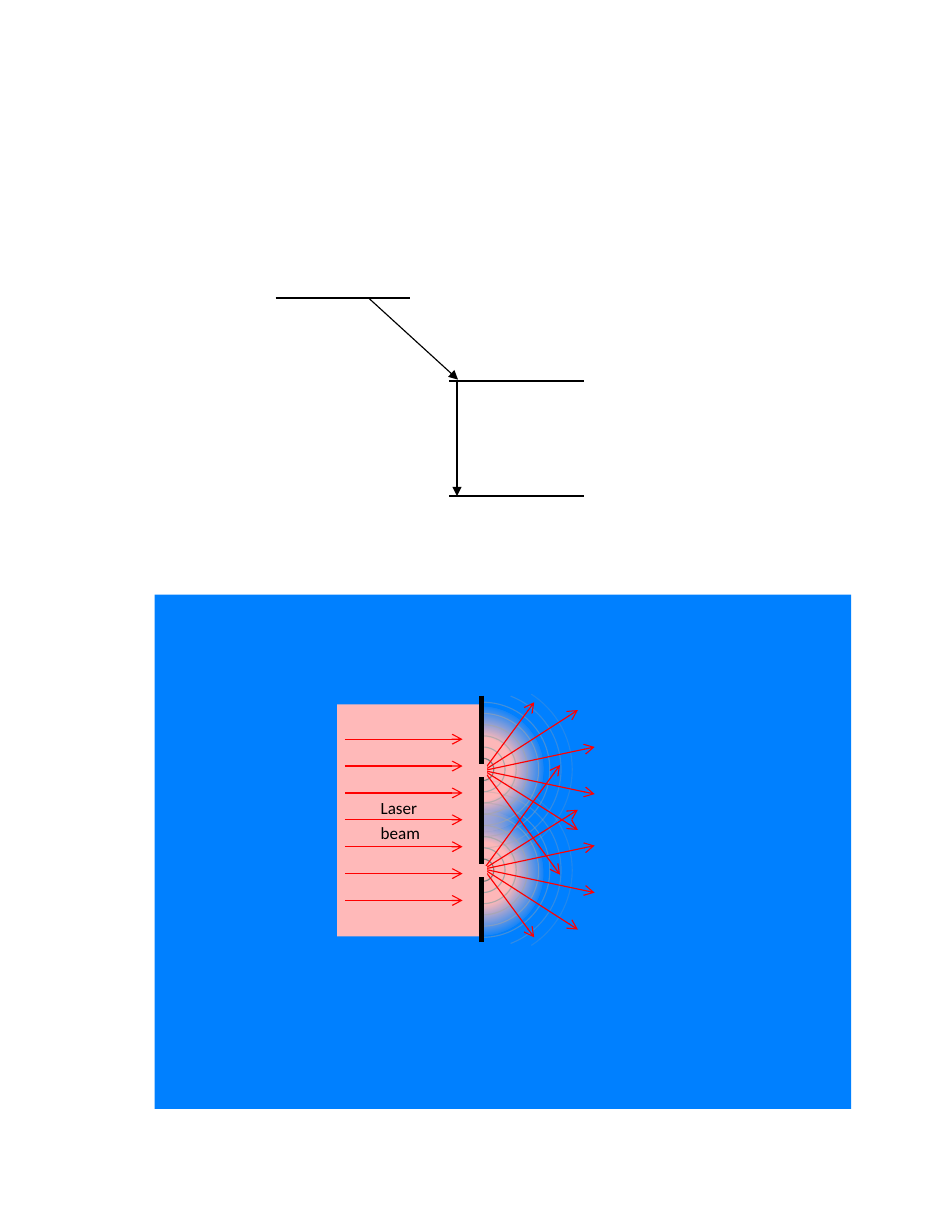
from dataclasses import dataclass

from lxml import etree
from pptx import Presentation
from pptx import util as u
from pptx.dml.color import RGBColor
from pptx.enum import shapes, text
from pptx.oxml import parse_xml
from pptx.oxml.ns import qn

PX = 9144  # EMU in one px, 100 px to the inch
KIND = shapes.MSO_SHAPE


@dataclass(frozen=True)
class Theme:
    panel: str = "0080FF"
    beam: str = "FFB9B9"
    ray: str = "FF0000"
    ink: str = "000000"
    first_wave: str = "808080"
    wave: str = "A6A6A6"
    font: str = "Calibri"
    label_size: float = 11
    thin: float = 0.75
    level: float = 1.5
    barrier: float = 3


@dataclass(frozen=True)
class Slit:
    center: int
    facing: int  # 1 for the upper slit, -1 for its mirror image
    glow_top: int
    opacities: tuple


THEME = Theme()
SLITS = (
    Slit(79, 1, 23, (100, 85, 70, 60, 50, 40, 30, 20)),
    Slit(169, -1, 116, (100, 100, 85, 60, 50, 40, 30, 20)),
)
SLIT_X = 130
RAYS = ((45, -61), (68, 93), (84, 53), (84, -54), (99, -21), (99, 21))


class Region:
    """Draws on a shape collection, with lengths measured from a corner."""

    def __init__(self, canvas, left, top):
        self.canvas, self.left, self.top = canvas, left, top

    def place(self, x, y):
        return (self.left + x) * PX, (self.top + y) * PX

    def shape(self, kind, x, y, width, height, color=None):
        shape = self.canvas.add_shape(kind, *self.place(x, y), width * PX, height * PX)
        shape.shadow.inherit = False
        shape.line.fill.background()
        if color:
            shape.fill.solid()
            shape.fill.fore_color.rgb = RGBColor.from_string(color)
        else:
            shape.fill.background()
        return shape

    def line(self, start, end, color, weight, head=None):
        line = self.canvas.add_connector(
            shapes.MSO_CONNECTOR.STRAIGHT, *self.place(*start), *self.place(*end))
        stroke(line, color, weight)
        if head:
            etree.SubElement(line.line._get_or_add_ln(), qn("a:tailEnd"), type=head)
        etree.SubElement(line._element.spPr, qn("a:effectLst"))

    def label(self, words, x, y, width, height):
        box = self.canvas.add_textbox(*self.place(x, y), width * PX, height * PX)
        box.text_frame.word_wrap = True
        box.text_frame.auto_size = text.MSO_AUTO_SIZE.NONE
        para = box.text_frame.paragraphs[0]
        for name, value in {"line_spacing": 1.15, "space_after": u.Pt(10)}.items():
            setattr(para, name, value)
        span = para.add_run()
        span.text = words
        for name, value in {"name": THEME.font, "size": u.Pt(THEME.label_size)}.items():
            setattr(span.font, name, value)
        span.font.color.rgb = RGBColor.from_string(THEME.ink)


def stroke(item, color, weight, opacity=100):
    item.line.width = u.Pt(weight)
    item.line.color.rgb = RGBColor.from_string(color)
    if opacity < 100:
        tint = item.line._get_or_add_ln().find(".//" + qn("a:srgbClr"))
        etree.SubElement(tint, qn("a:alpha"), val=str(opacity * 1000))


def draw_glow(region, slit):
    """Round glow that fades from the beam colour to nothing."""
    glow = region.shape(KIND.OVAL, SLIT_X - 57, slit.glow_top, 111, 111)
    stops = "".join(
        f'<a:gs pos="{position * 1000}"><a:srgbClr val="{THEME.beam}">'
        f'<a:alpha val="{alpha * 1000}"/></a:srgbClr></a:gs>'
        for position, alpha in ((0, 100), (35, 100), (74, 0)))
    gradient = parse_xml(
        '<a:gradFill xmlns:a="http://schemas.openxmlformats.org/drawingml/2006/main" '
        f'rotWithShape="1"><a:gsLst>{stops}</a:gsLst><a:path path="circle">'
        '<a:fillToRect l="50000" t="50000" r="50000" b="50000"/></a:path></a:gradFill>')
    properties = glow._element.spPr
    properties.replace(properties.find(qn("a:noFill")), gradient)


def draw_waves(region, slit):
    starts = (162,) * 6 + (174.54, 181.74)
    for step, (start, opacity) in enumerate(zip(starts, slit.opacities), 1):
        radius = 10 * step
        arc = region.shape(KIND.ARC, SLIT_X - radius, slit.center - radius,
                           2 * radius, 2 * radius)
        arc.adjustments[0] = start
        arc.adjustments[1] = 54.5
        if slit.facing < 0:
            arc._element.spPr.find(qn("a:xfrm")).set("flipV", "1")
        stroke(arc, THEME.first_wave if step == 1 else THEME.wave, THEME.thin, opacity)


def draw_beam(region):
    region.shape(KIND.RECTANGLE, 0, 21, 128, 207, THEME.beam)
    for row in range(7):
        y = 52 + 24 * row
        region.line((7, y), (112, y), THEME.ray, THEME.thin, "arrow")
    for row, word in enumerate(("Laser", "beam")):
        region.label(word, 29, 96 + 23 * row, 57, 31)


def draw_barrier(region):
    for top, bottom in ((13, 74), (86, 163), (175, 233)):
        region.line((129, top), (129, bottom), THEME.ink, THEME.barrier)


def draw_rays(region, slit):
    x, y = SLIT_X + 1, slit.center + slit.facing
    for across, down in RAYS:
        region.line((x, y), (x + across, y + down * slit.facing),
                    THEME.ray, THEME.thin, "arrow")
    region.shape(KIND.ROUNDED_RECTANGLE, SLIT_X - 7, slit.center - 4, 11, 10, THEME.beam)


def draw_experiment(page, left, top, width, height):
    Region(page.shapes, left, top).shape(KIND.RECTANGLE, 0, 0, width, height, THEME.panel)
    optics = Region(page.shapes.add_group_shape().shapes, left + 163, top + 77)
    for slit in reversed(SLITS):
        draw_glow(optics, slit)
    for slit in SLITS:
        draw_waves(optics, slit)
    draw_beam(optics)
    draw_barrier(optics)
    for slit in SLITS:
        draw_rays(optics, slit)


def draw_energy_levels(page, left, top):
    region = Region(page.shapes, left, top)
    for x, y in ((155, 177), (155, 74), (0, 0)):
        region.line((x, y), (x + 120, y), THEME.ink, THEME.level)
    for start, end in (((83, 0), (163, 73)), ((162, 74), (162, 177))):
        region.line(start, end, THEME.ink, THEME.thin, "triangle")


def main():
    deck = Presentation()
    deck.slide_width, deck.slide_height = 850 * PX, 1100 * PX
    page = deck.slides.add_slide(deck.slide_layouts[6])
    draw_experiment(page, 138, 531, 622, 459)
    draw_energy_levels(page, 246, 266)
    deck.save("out.pptx")


if __name__ == "__main__":
    main()
